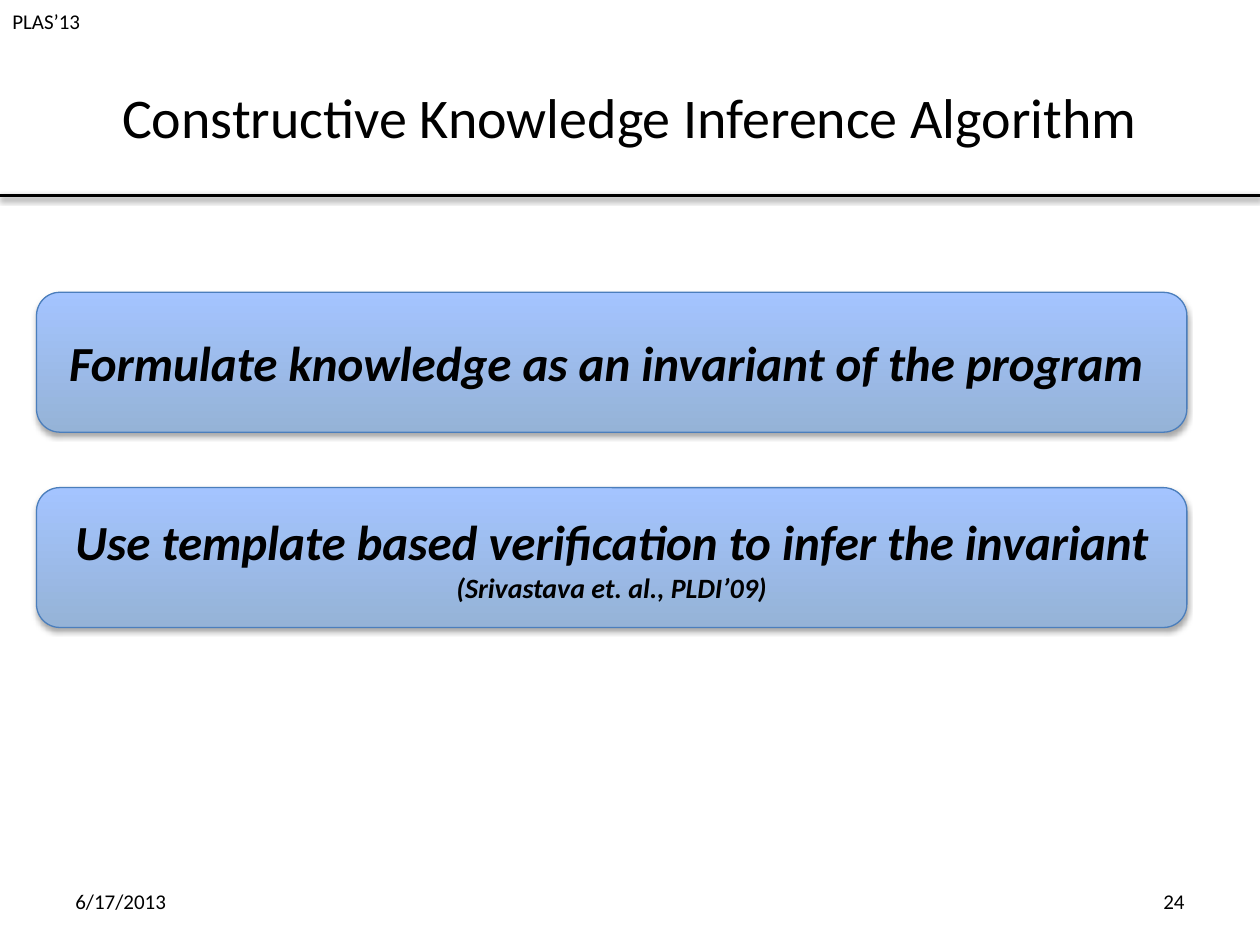
from lxml import etree
from pptx import Presentation
from pptx.dml.color import RGBColor
from pptx.enum import shapes, text
from pptx.oxml import ns
from pptx.util import Inches, Pt

BLACK = RGBColor(0x00, 0x00, 0x00)
BOX_BOTTOM = RGBColor(0x95, 0xB3, 0xD7)
BOX_TOP = RGBColor(0xA4, 0xC4, 0xFF)
BOX_EDGE = RGBColor(0x4B, 0x7E, 0xBC)
FONT = "Calibri"
LEFT, CENTER, RIGHT = text.PP_ALIGN.LEFT, text.PP_ALIGN.CENTER, text.PP_ALIGN.RIGHT
TOP, MIDDLE = text.MSO_ANCHOR.TOP, text.MSO_ANCHOR.MIDDLE


def add_shadow(effects, distance, opacity):
    shadow = etree.SubElement(
        effects, ns.qn("a:outerShdw"), blurRad=str(Pt(3.1)),
        dist=str(Pt(distance)), dir="5400000", rotWithShape="0")
    color = etree.SubElement(shadow, ns.qn("a:srgbClr"), val=str(BLACK))
    etree.SubElement(color, ns.qn("a:alpha"), val=str(opacity * 1000))


def style_paragraph(p, size, align):
    p.alignment = align
    p.font.name = FONT
    p.font.size = Pt(size)
    p.font.color.rgb = BLACK


def add_label(slide, box, words, size=12, align=LEFT, anchor=MIDDLE):
    tf = slide.shapes.add_textbox(*map(Inches, box)).text_frame
    tf.word_wrap = True
    tf.vertical_anchor = anchor
    p = tf.paragraphs[0]
    p.text = words
    style_paragraph(p, size, align)


def add_header(slide, width, height):
    rule = slide.shapes.add_connector(
        shapes.MSO_CONNECTOR.STRAIGHT, 0, Inches(height), Inches(width), Inches(height))
    rule.line.color.rgb = BLACK
    rule.line.width = Pt(2)
    effects = etree.SubElement(rule._element.spPr, ns.qn("a:effectLst"))
    add_shadow(effects, 1.6, 38)
    add_label(slide, (0, 0.02, 1.6, 0.3), "PLAS’13", anchor=TOP)
    add_label(slide, (0.5, 0.3, width - 1, height - 0.3),
              "Constructive Knowledge Inference Algorithm", 32, CENTER)


def add_footer(slide, left, top, width):
    part = 2.33
    add_label(slide, (left, top, part, 0.4), "6/17/2013")
    add_label(slide, (left + width - part, top, part, 0.4), "24", align=RIGHT)


def add_step(slide, box, step, source):
    sp = slide.shapes.add_shape(
        shapes.MSO_SHAPE.ROUNDED_RECTANGLE, *map(Inches, box))
    sp.fill.gradient()
    sp.fill.gradient_angle = 90
    for stop, position, color in zip(
            sp.fill.gradient_stops, (0, 1), (BOX_BOTTOM, BOX_TOP)):
        stop.position = position
        stop.color.rgb = color
    sp.line.color.rgb = BOX_EDGE
    sp.line.width = Pt(0.75)
    sp.shadow.inherit = False
    add_shadow(sp._element.spPr.find(ns.qn("a:effectLst")), 1.8, 35)

    tf = sp.text_frame
    tf.word_wrap = True
    tf.vertical_anchor = MIDDLE
    p = tf.paragraphs[0]
    style_paragraph(p, 28, CENTER)
    p.font.bold = p.font.italic = True
    p.add_run().text = step
    if source:
        r = p.add_run()
        r.text = source
        r.font.size = Pt(16)


def add_steps(slide, left, top, width):
    steps = [
        ("Formulate knowledge as an invariant of the program ", ""),
        ("Use template based verification to infer the invariant ",
         "(Srivastava et. al., PLDI’09)"),
    ]
    for i, (step, source) in enumerate(steps):
        add_step(slide, (left, top + i * 1.55, width, 1.11), step, source)


prs = Presentation()
prs.slide_width, prs.slide_height = Inches(10), Inches(7.5)
slide = prs.slides.add_slide(prs.slide_layouts[6])
add_header(slide, 10, 1.55)
add_footer(slide, 0.5, 6.95, 9)
add_steps(slide, 0.29, 2.32, 9.13)
prs.save("out.pptx")
